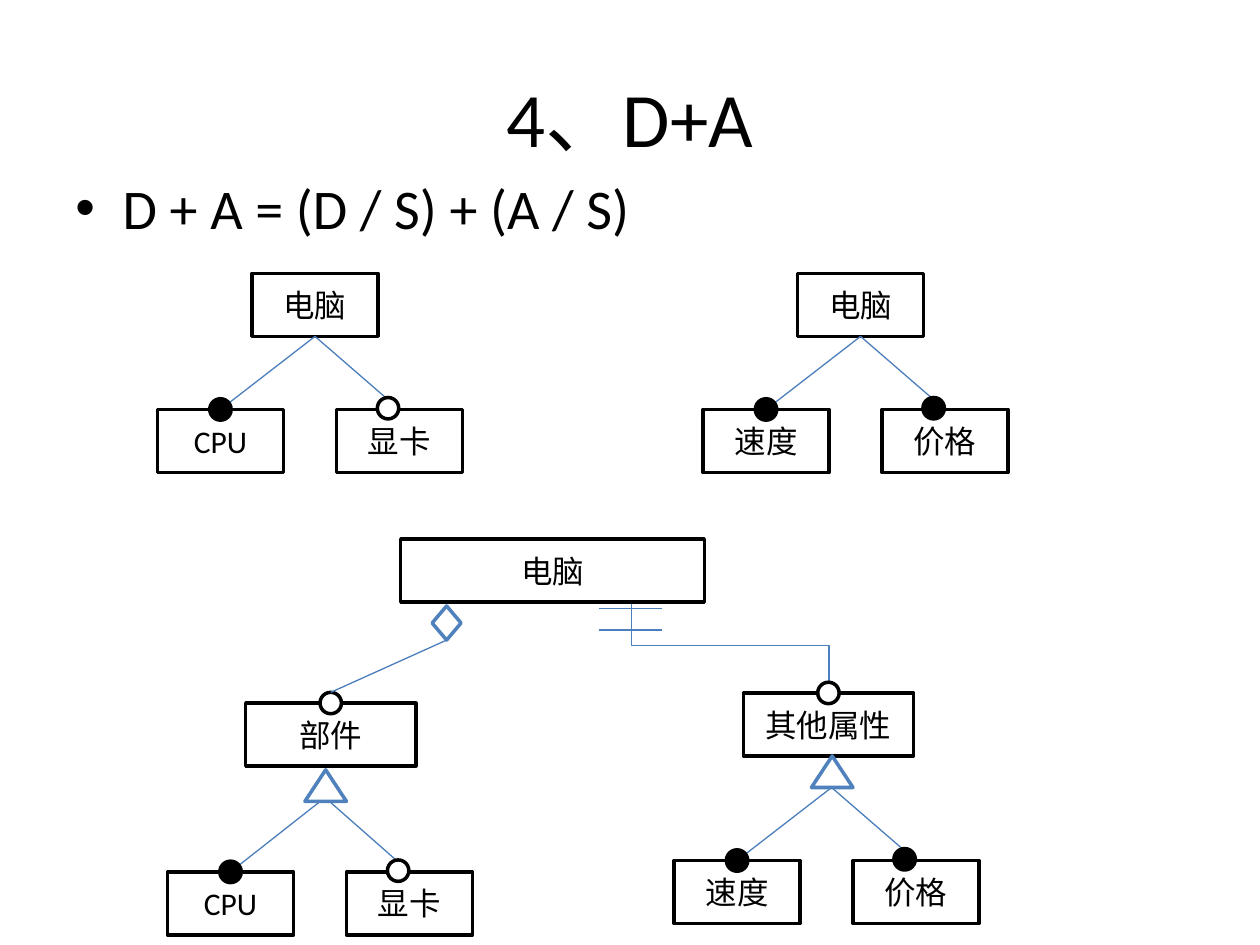
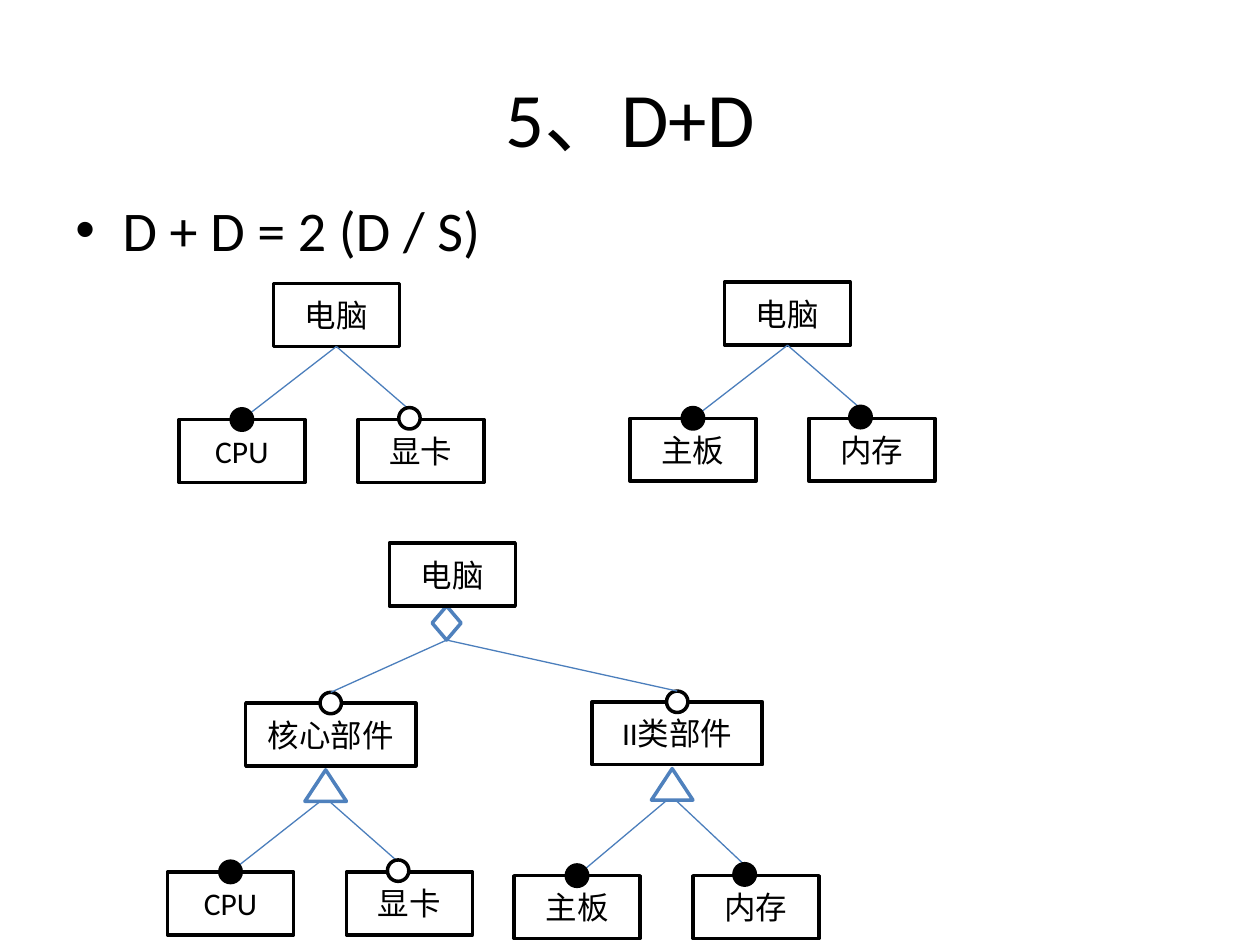
import lxml.etree
import pptx
import pptx.dml.color
import pptx.enum.shapes
import pptx.enum.text
import pptx.oxml.ns
import pptx.util

PX = 9144
FONT = "Calibri"
COLORS = {"black": "000000", "white": "FFFFFF", "outline": "4F81BD", "link": "4B7EBC"}
SHAPE = pptx.enum.shapes.MSO_SHAPE
LINK = pptx.enum.shapes.MSO_CONNECTOR
ALIGN = pptx.enum.text.PP_ALIGN
ANCHOR = pptx.enum.text.MSO_ANCHOR

TOP, BOTTOM = 0, 2
LEAF_W, PART_W, BOX_H = 100, 135, 50
DOT = 17
TRIANGLE_W, TRIANGLE_H = 33, 25

CPU_AND_CARD = (("CPU", "black"), ("显卡", "white"))
SPEED_AND_PRICE = (("速度", "black"), ("价格", "black"))
BOARD_AND_MEMORY = (("主板", "black"), ("内存", "black"))


def px(*lengths):
    return [pptx.util.Emu(round(n * PX)) for n in lengths]


def rgb(name):
    return pptx.dml.color.RGBColor.from_string(COLORS[name])


def add_text(p, text, size):
    r = p.add_run()
    r.text = text
    r.font.name = FONT
    r.font.size = pptx.util.Pt(size)
    r.font.color.rgb = rgb("black")


def add_title(s, text):
    sp = s.shapes.title
    sp.left, sp.top, sp.width, sp.height = px(50, 30, 900, 125)
    tf = sp.text_frame
    tf.vertical_anchor = ANCHOR.MIDDLE
    p = tf.paragraphs[0]
    p.alignment = ALIGN.CENTER
    add_text(p, text, 44)


def add_formula(s, text, y):
    tf = s.shapes.add_textbox(*px(50, y, 900, 92)).text_frame
    tf.word_wrap = True
    p = tf.paragraphs[0]
    pPr = p._p.get_or_add_pPr()
    pPr.set("marL", "342900")
    pPr.set("indent", "-342900")
    qn = pptx.oxml.ns.qn
    lxml.etree.SubElement(pPr, qn("a:buFont")).set("typeface", "Arial")
    lxml.etree.SubElement(pPr, qn("a:buChar")).set("char", "•")
    add_text(p, text, 32)


def add_symbol(s, kind, x, y, w, h, fill="white", line="outline"):
    sp = s.shapes.add_shape(kind, *px(x, y, w, h))
    sp.shadow.inherit = False
    sp.fill.solid()
    sp.fill.fore_color.rgb = rgb(fill)
    sp.line.color.rgb = rgb(line)
    sp.line.width = pptx.util.Pt(2)
    return sp


def add_box(s, text, x, y, w=LEAF_W):
    sp = add_symbol(s, SHAPE.RECTANGLE, x, y, w, BOX_H, line="black")
    tf = sp.text_frame
    tf.vertical_anchor = ANCHOR.MIDDLE
    p = tf.paragraphs[0]
    p.alignment = ALIGN.CENTER
    add_text(p, text, 18)
    return sp


def add_dot(s, x, y, fill):
    return add_symbol(s, SHAPE.OVAL, x - DOT / 2, y - DOT / 2, DOT, DOT, fill, "black")


def add_link(s, x1, y1, x2, y2, kind=LINK.STRAIGHT):
    c = s.shapes.add_connector(kind, *px(x1, y1, x2, y2))
    c.line.color.rgb = rgb("link")
    c.line.width = pptx.util.Pt(0.75)
    lxml.etree.SubElement(c._element.spPr, pptx.oxml.ns.qn("a:effectLst"))
    return c


def add_drop_link(s, x1, y1, x2, y2):
    cx, cy = (x1 + x2) / 2, (y1 + y2) / 2
    half_w, half_h = (y2 - y1) / 2, (x2 - x1) / 2
    c = add_link(s, cx + half_w, cy - half_h, cx - half_w, cy + half_h, LINK.ELBOW)
    xfrm = c._element.spPr.find(pptx.oxml.ns.qn("a:xfrm"))
    xfrm.set("rot", str(270 * 60000))


def add_leaves(s, x, y, drop, leaves, parent=None):
    leaf_y = y + drop
    boxes = [add_box(s, text, x + dx, leaf_y) for (text, _), dx in zip(leaves, (-125, 17))]
    for box in boxes:
        c = add_link(s, x, y, x, leaf_y)
        if parent is not None:
            c.begin_connect(parent, BOTTOM)
        c.end_connect(box, TOP)
    for (_, fill), dx, dy in zip(leaves, (-75, 58), (0, -1)):
        add_dot(s, x + dx, leaf_y + dy, fill)


def add_tree(s, x, y, leaves):
    root = add_box(s, "电脑", x, y)
    add_leaves(s, x + LEAF_W / 2, y + BOX_H, 58, leaves, root)


def add_part(s, text, x, y):
    add_box(s, text, x, y, PART_W)
    return add_dot(s, x + PART_W / 2, y, "white")


def add_choice(s, x, y, drop, leaves, overlap=3):
    add_leaves(s, x, y, drop, leaves)
    add_symbol(s, SHAPE.ISOSCELES_TRIANGLE, x - 16, y + overlap - TRIANGLE_H,
               TRIANGLE_W, TRIANGLE_H)


def add_diamond_links(s, dots):
    diamond = add_symbol(s, SHAPE.DIAMOND, 343, 481, 23, 27)
    for dot in dots:
        c = add_link(s, 355, 508, 355, 550)
        c.begin_connect(diamond, BOTTOM)
        c.end_connect(dot, TOP)


def add_slide(prs, title, formula, formula_y):
    s = prs.slides.add_slide(prs.slide_layouts[5])
    add_title(s, title)
    add_formula(s, formula, formula_y)
    return s


def build_d_plus_a(prs):
    s = add_slide(prs, "4、D+A", "D + A = (D / S) + (A / S)", 133)
    add_tree(s, 633, 217, SPEED_AND_PRICE)
    add_tree(s, 200, 217, CPU_AND_CARD)

    add_diamond_links(s, [add_part(s, "部件", 195, 558)])
    add_choice(s, 258, 633, 59, CPU_AND_CARD)

    add_drop_link(s, 501, 475, 658, 550)
    for y in (483, 500):
        add_link(s, 475, y, 525, y)
    add_part(s, "其他属性", 590, 550)
    add_choice(s, 660, 625, 58, SPEED_AND_PRICE, overlap=0)
    add_box(s, "电脑", 318, 428, 241)


def build_d_plus_d(prs):
    s = add_slide(prs, "5、D+D", "D + D = 2 (D / S)", 150)
    add_tree(s, 217, 225, CPU_AND_CARD)
    add_tree(s, 575, 224, BOARD_AND_MEMORY)

    add_diamond_links(s, [add_part(s, "核心部件", 195, 558),
                          add_part(s, "II类部件", 470, 557)])
    add_choice(s, 258, 633, 59, CPU_AND_CARD)
    add_choice(s, 533, 632, 63, BOARD_AND_MEMORY)
    add_box(s, "电脑", 309, 431)


def main():
    prs = pptx.Presentation()
    prs.slide_width, prs.slide_height = px(1000, 750)
    build_d_plus_a(prs)
    build_d_plus_d(prs)
    prs.save("out.pptx")


if __name__ == "__main__":
    main()
